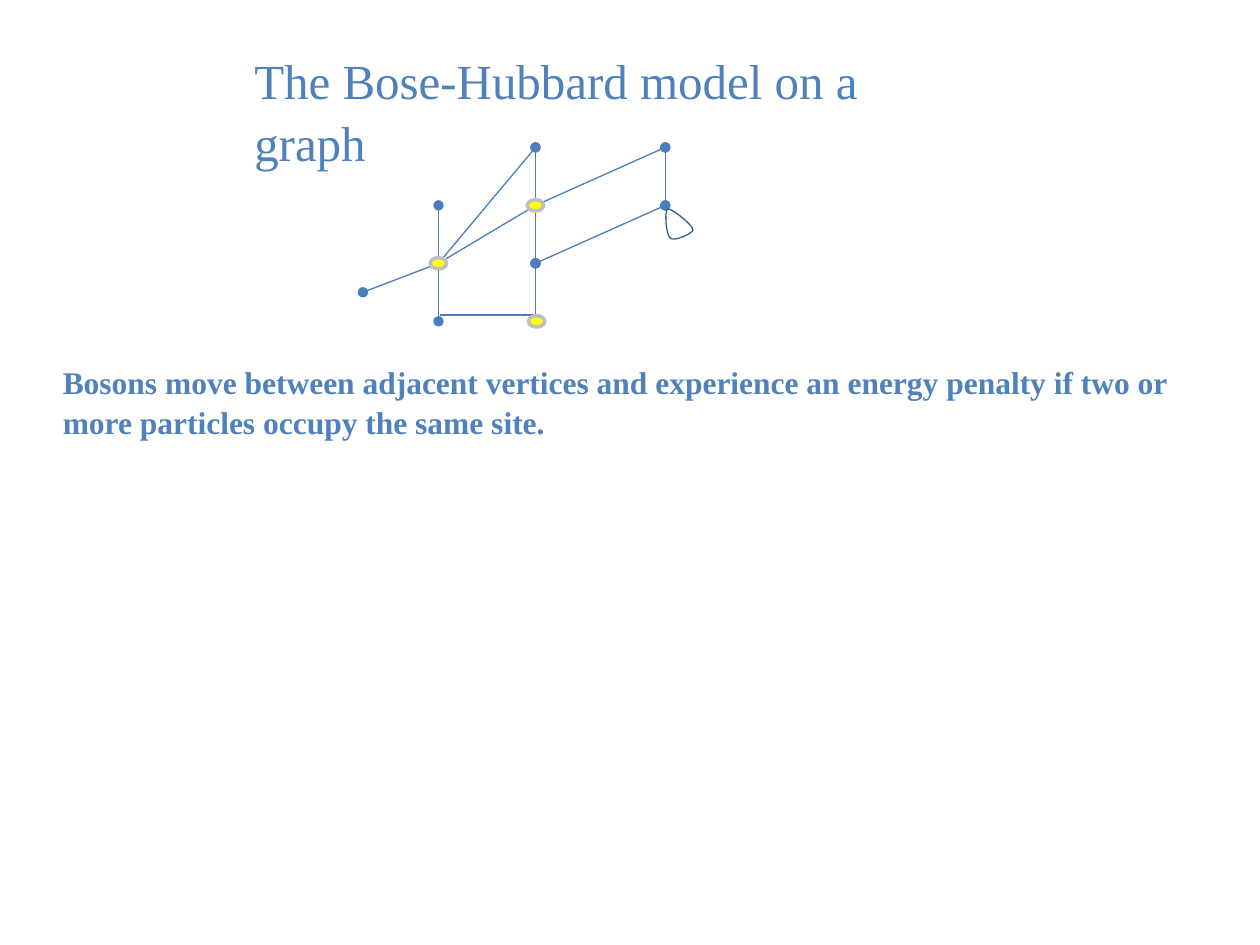
from typing import NamedTuple

from lxml.etree import SubElement
from pptx import Presentation
from pptx.dml.color import RGBColor
from pptx.enum.shapes import MSO_CONNECTOR as Conn, MSO_SHAPE as Shape
from pptx.enum.text import MSO_AUTO_SIZE as AutoSize
from pptx.oxml.ns import qn
from pptx.util import Inches, Pt

COLORS = {
    "text": "4F81BD",
    "edge": "4B7EBC",
    "boson": "FFFF00",
    "ring": "BFBFBF",
    "loop": "3A5F8C",
    "paper": "FFFFFF",
}
FONT = "Times New Roman"


class Point(NamedTuple):
    x: float
    y: float


class Edge(NamedTuple):
    start: Point
    end: Point
    dots: bool = True


LEFT, MID, RIGHT = 3.48, 4.25, 5.28
ROWS = [1.17, 1.63, 2.09, 2.55]
LEAF = Point(2.88, 2.32)
LEFT_TOP, HUB, LEFT_LOW = (Point(LEFT, y) for y in ROWS[1:])
MID_TOP, CENTER, MID_LOW, MID_END = (Point(MID, y) for y in ROWS)
RIGHT_TOP, RIGHT_LOW = (Point(RIGHT, y) for y in ROWS[:2])

EDGES = [
    Edge(HUB, MID_TOP),
    Edge(MID_TOP, CENTER),
    Edge(CENTER, HUB),
    Edge(RIGHT_TOP, CENTER),
    Edge(RIGHT_TOP, RIGHT_LOW),
    Edge(CENTER, MID_LOW),
    Edge(LEFT_TOP, HUB),
    Edge(HUB, LEAF),
    Edge(HUB, LEFT_LOW),
    Edge(MID_LOW, RIGHT_LOW),
    Edge(MID_LOW, MID_END),
    Edge(Point(3.49, 2.5), Point(4.26, 2.5), dots=False),
]
BOSONS = [CENTER, HUB, Point(4.26, 2.55)]
LOOP = [
    [Point(5.3, 1.66), Point(5.27, 1.68), Point(5.29, 1.87), Point(5.32, 1.89)],
    [Point(5.32, 1.89), Point(5.35, 1.92), Point(5.51, 1.85), Point(5.5, 1.82)],
    [Point(5.5, 1.82), Point(5.49, 1.78), Point(5.33, 1.65), Point(5.3, 1.66)],
]


def rgb(name: str) -> RGBColor:
    return RGBColor.from_string(COLORS[name])


def add_text(s, text: str, x: float, y: float, w: float, h: float,
             size: float, bold: bool = False) -> None:
    tf = s.shapes.add_textbox(Inches(x), Inches(y), Inches(w), Inches(h)).text_frame
    tf.word_wrap = True
    tf.auto_size = AutoSize.SHAPE_TO_FIT_TEXT
    p = tf.paragraphs[0]
    p.line_spacing = 1.05
    r = p.add_run()
    r.text = text
    r.font.name = FONT
    r.font.size = Pt(size)
    r.font.bold = bold
    r.font.color.rgb = rgb("text")


def add_edge(s, edge: Edge) -> None:
    ends = [Inches(v) for v in (*edge.start, *edge.end)]
    c = s.shapes.add_connector(Conn.STRAIGHT, *ends)
    c.line.color.rgb = rgb("edge")
    c.line.width = Pt(0.75)
    if edge.dots:
        ln = c.line._get_or_add_ln()
        for tag in ("a:headEnd", "a:tailEnd"):
            SubElement(ln, qn(tag), type="oval")
    SubElement(c._element.spPr, qn("a:effectLst"))


def style(sp, fill: str, line: str, width: float) -> None:
    sp.shadow.inherit = False
    sp.fill.solid()
    sp.fill.fore_color.rgb = rgb(fill)
    sp.line.color.rgb = rgb(line)
    sp.line.width = Pt(width)


def add_boson(s, at: Point, w: float = 0.13, h: float = 0.09) -> None:
    sp = s.shapes.add_shape(Shape.OVAL, Inches(at.x - w / 2), Inches(at.y - h / 2),
                            Inches(w), Inches(h))
    style(sp, "boson", "ring", 2)


def bezier(curve: list[Point], t: float) -> tuple[int, int]:
    u = 1 - t
    weights = (u**3, 3 * u * u * t, 3 * u * t * t, t**3)
    x, y = (sum(w * v for w, v in zip(weights, axis)) for axis in zip(*curve))
    return Inches(x), Inches(y)


def add_loop(s, curves: list[list[Point]], steps: int = 12) -> None:
    points = [bezier(c, i / steps) for c in curves for i in range(steps)]
    fb = s.shapes.build_freeform(*points[0])
    fb.add_line_segments(points[1:], close=True)
    style(fb.convert_to_shape(), "paper", "loop", 0.75)


def main() -> None:
    prs = Presentation()
    prs.slide_width, prs.slide_height = Inches(10), Inches(7.5)
    s = prs.slides.add_slide(prs.slide_layouts[6])
    add_text(s, "Bosons move between adjacent vertices and experience an energy penalty "
                "if two or more particles occupy the same site.",
             0.4, 2.82, 9.44, 1.01, size=18, bold=True)
    for edge in EDGES:
        add_edge(s, edge)
    for at in BOSONS:
        add_boson(s, at)
    add_loop(s, LOOP)
    add_text(s, "The Bose-Hubbard model on a graph", 1.92, 0.33, 5.94, 0.57, size=28)
    prs.save("out.pptx")


if __name__ == "__main__":
    main()
